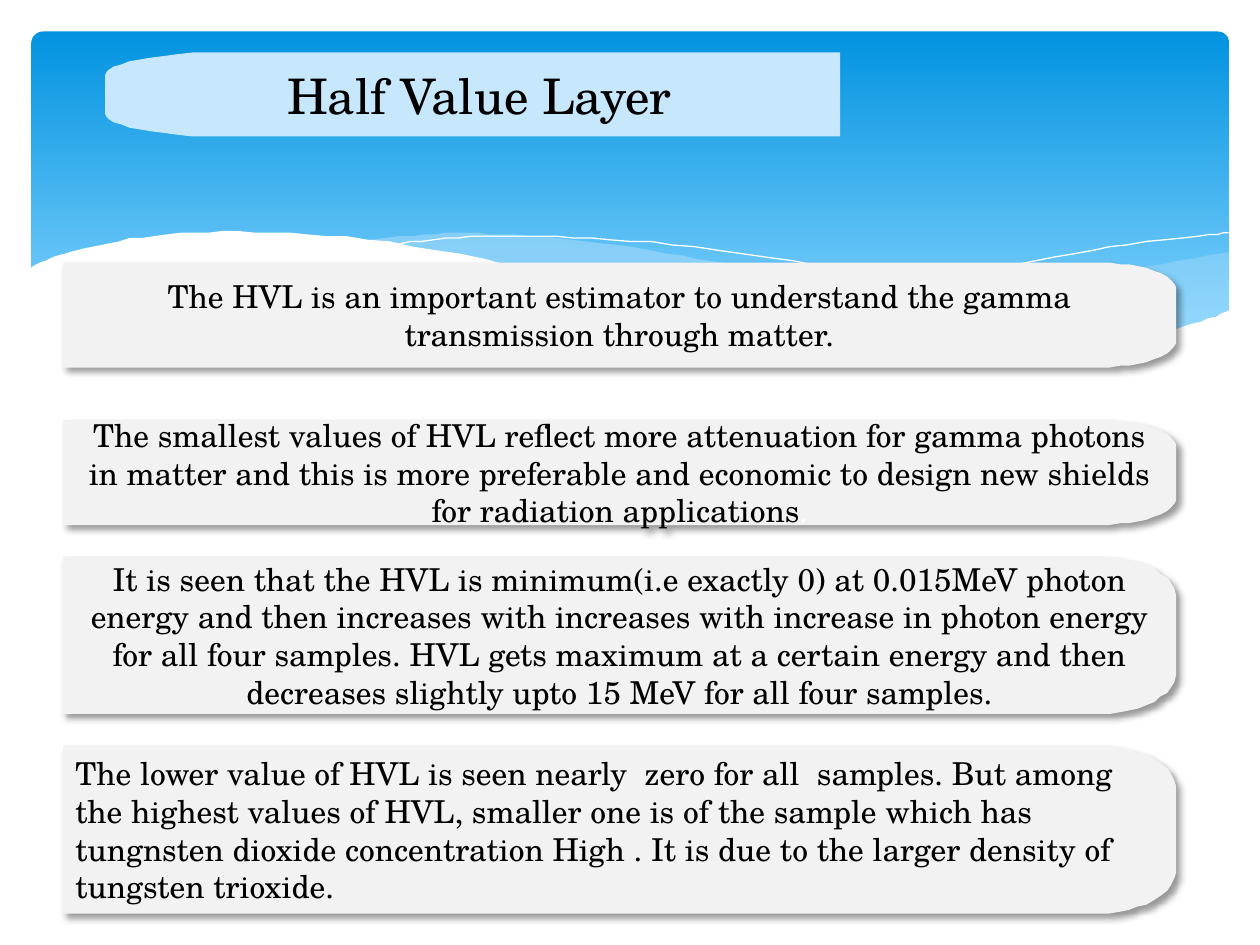
from math import cos, pi, sin

from lxml import etree
from pptx import Presentation
from pptx.dml.color import RGBColor
from pptx.enum.shapes import MSO_SHAPE
from pptx.enum.text import MSO_ANCHOR, PP_ALIGN
from pptx.oxml.ns import qn
from pptx.util import Pt

ROUNDED = MSO_SHAPE.ROUNDED_RECTANGLE
MIDDLE = MSO_ANCHOR.MIDDLE
CENTER = PP_ALIGN.CENTER
LEFT = PP_ALIGN.LEFT

COLORS = {
    "sky_top": "0293E0",
    "sky_bottom": "83D3FE",
    "pale": "C6E7FC",
    "white": "FFFFFF",
    "card": "F2F2F2",
    "text": "000000",
}
SERIF = "TeX Gyre Schola"
SANS = "Calibri"

RIGHT_WAVE_TOP = [
    (702.7, 144), (673.2, 149), (641.5, 155.5), (619.9, 160.6),
    (579.6, 170.6), (542.2, 178.6), (508.3, 185), (475.9, 190.8),
]
RIGHT_WAVE_BOTTOM = [
    (475.9, 190.8), (507.6, 195.1), (536.4, 198), (562.3, 199.4),
    (586.1, 200.2), (614.9, 198.7), (640.1, 195.8), (663.1, 190.8),
    (683.3, 185), (702.7, 177.8),
]
MIDDLE_WAVE_TOP = [
    (205.9, 137.5), (236.2, 134.6), (259.9, 133.2), (287.3, 133.9),
    (318.2, 136.1), (352.1, 139.7), (389.5, 146.2), (420.5, 151.9),
    (452.9, 159.8), (508.3, 172.8), (558, 182.9), (602.6, 190.8),
    (643, 196.6),
]
MIDDLE_WAVE_BOTTOM = [
    (643, 196.6), (617, 199.4), (589, 200.2), (556.6, 199.4),
    (519.8, 197.3), (478.8, 191.5), (432.7, 183.6), (381.6, 172.8),
    (323.3, 159.8), (290.9, 151.9), (260.6, 146.2), (232.6, 141.1),
    (205.9, 137.5),
]
LEFT_LINE = [
    (222.5, 140.4), (241.2, 137.5), (269.3, 135.4), (299.5, 134.6),
    (337.7, 136.1), (383.8, 139.7), (437.8, 146.9), (500.4, 157.7),
    (572.4, 173.5), (653, 195.8),
]
RIGHT_LINE = [
    (441.4, 185), (483.8, 173.5), (538.6, 160.6), (601.9, 146.9),
    (644.4, 139.7), (684.7, 134.6), (702, 133.2),
]
WHITE_WAVE_TOP = [
    (16.6, 153.4), (20.9, 151.2), (33.1, 146.2), (48.2, 142),
    (68.4, 137.5), (95, 133.9), (127.4, 132.5), (165.6, 133.2),
    (210.2, 136.8), (262.8, 145.4), (321.8, 158.4), (380.9, 172.1),
    (433.4, 182.9), (481, 190.8), (522.7, 196.6), (560.2, 198.9),
    (592.6, 199.4), (621.4, 197.3), (647.3, 193.7), (669.6, 188.6),
    (690.5, 182.2), (703.4, 177.1),
]
WHITE_WAVE_BASE = [(703.4, 236.9), (16.6, 236.9)]

CARDS = [
    (150, 60, CENTER, [(
        "The HVL is an important estimator to understand the gamma "
        "transmission through matter.", SERIF, "text")]),
    (240, 60, CENTER, [(
        "The smallest values of HVL reflect more attenuation for gamma "
        "photons in matter and this is more preferable and economic to "
        "design new shields for radiation applications", SERIF, "text"),
        (".", SANS, "white")]),
    (318, 90, CENTER, [(
        "It is seen that the HVL is minimum(i.e exactly 0) at 0.015MeV "
        "photon energy and then increases with increases with increase in "
        "photon energy for all four samples. HVL gets maximum at a certain "
        "energy and then decreases slightly upto 15 MeV for all four "
        "samples.", SERIF, "text")]),
    (426, 96, LEFT, [(
        "The lower value of HVL is seen nearly  zero for all  samples. But "
        "among the highest values of HVL, smaller one is of the sample which "
        "has tungnsten dioxide concentration High . It is due to the larger "
        "density of tungsten trioxide.", SERIF, "text")]),
]


def color(name):
    return RGBColor.from_string(COLORS[name])


def smooth(knots, steps=4):
    padded = [knots[0], *knots, knots[-1]]
    points = []
    for a, b, c, d in zip(padded, padded[1:], padded[2:], padded[3:]):
        for step in range(steps):
            t = step / steps
            points.append(tuple(
                q + t / 2 * (r - p + t * (2 * p - 5 * q + 4 * r - s
                                          + t * (3 * (q - r) + s - p)))
                for p, q, r, s in zip(a, b, c, d)))
    return points + [knots[-1]]


def rounded_side(left, top, width, height, radius, on_left=False, steps=12):
    rise = 0.275 * height
    angles = [pi / 2 * step / steps for step in range(steps + 1)]
    upper = [(width - radius + radius * sin(a), rise - rise * cos(a)) for a in angles]
    lower = [(x, height - y) for x, y in reversed(upper)]
    outline = [(0, 0), *upper, *lower, (0, height)]
    return [(left + (width - x if on_left else x), top + y) for x, y in outline]


def add_outline(slide, points, closed=True):
    builder = slide.shapes.build_freeform(*points[0], scale=Pt(1))
    builder.add_line_segments(points[1:], close=closed)
    shape = builder.convert_to_shape()
    shape.shadow.inherit = False
    return shape


def add_area(slide, points, fill, opacity=100):
    shape = add_outline(slide, points)
    shape.fill.solid()
    shape.fill.fore_color.rgb = color(fill)
    shape.line.fill.background()
    if opacity < 100:
        tint = shape._element.spPr.find(qn("a:solidFill"))[0]
        etree.SubElement(tint, qn("a:alpha"), val=str(opacity * 1000))
    return shape


def add_curve(slide, knots):
    shape = add_outline(slide, smooth(knots), closed=False)
    shape.fill.background()
    shape.line.color.rgb = color("white")
    shape.line.width = Pt(0)


def add_shadow(shape):
    effects = shape._element.spPr.find(qn("a:effectLst"))
    shadow = etree.SubElement(
        effects, qn("a:outerShdw"), blurRad=str(Pt(4)), dist=str(Pt(3)),
        dir=str(45 * 60000), algn="tl", rotWithShape="0")
    tint = etree.SubElement(shadow, qn("a:srgbClr"), val=COLORS["text"])
    etree.SubElement(tint, qn("a:alpha"), val="40000")


def write_text(shape, runs, size, alignment):
    frame = shape.text_frame
    frame.word_wrap = True
    frame.vertical_anchor = MIDDLE
    paragraph = frame.paragraphs[0]
    paragraph.alignment = alignment
    for text, font, tint in runs:
        run = paragraph.add_run()
        run.text = text
        run.font.name = font
        run.font.size = Pt(size)
        run.font.color.rgb = color(tint)


def add_sky(slide):
    shape = slide.shapes.add_shape(ROUNDED, Pt(18), Pt(18), Pt(684.5), Pt(194.5))
    shape.adjustments[0] = 0.034
    shape.shadow.inherit = False
    shape.line.fill.background()
    shape.fill.gradient()
    shape.fill.gradient_angle = 270
    stops = zip(shape.fill.gradient_stops, ("sky_top", "sky_bottom"), (0, 0.9))
    for stop, tint, position in stops:
        stop.color.rgb = color(tint)
        stop.position = position


def add_waves(slide):
    add_area(slide, smooth(RIGHT_WAVE_TOP) + smooth(RIGHT_WAVE_BOTTOM), "pale", 29)
    add_area(slide, smooth(MIDDLE_WAVE_TOP) + smooth(MIDDLE_WAVE_BOTTOM), "pale", 40)
    for knots in (LEFT_LINE, RIGHT_LINE):
        add_curve(slide, knots)
    add_area(slide, smooth(WHITE_WAVE_TOP) + WHITE_WAVE_BASE, "white")


def add_card(slide, top, height, alignment, runs):
    shape = add_area(slide, rounded_side(36, top, 636.5, height, 44), "card")
    add_shadow(shape)
    write_text(shape, runs, 18, alignment)


def add_title(slide):
    shape = add_area(slide, rounded_side(60, 30, 420, 48, 67, on_left=True), "pale")
    write_text(shape, [(" Half Value Layer", SERIF, "text")], 28, CENTER)


def main():
    presentation = Presentation()
    presentation.slide_width = Pt(720)
    presentation.slide_height = Pt(540)
    slide = presentation.slides.add_slide(presentation.slide_layouts[6])
    add_sky(slide)
    add_waves(slide)
    for card in CARDS:
        add_card(slide, *card)
    add_title(slide)
    presentation.save("out.pptx")


if __name__ == "__main__":
    main()
